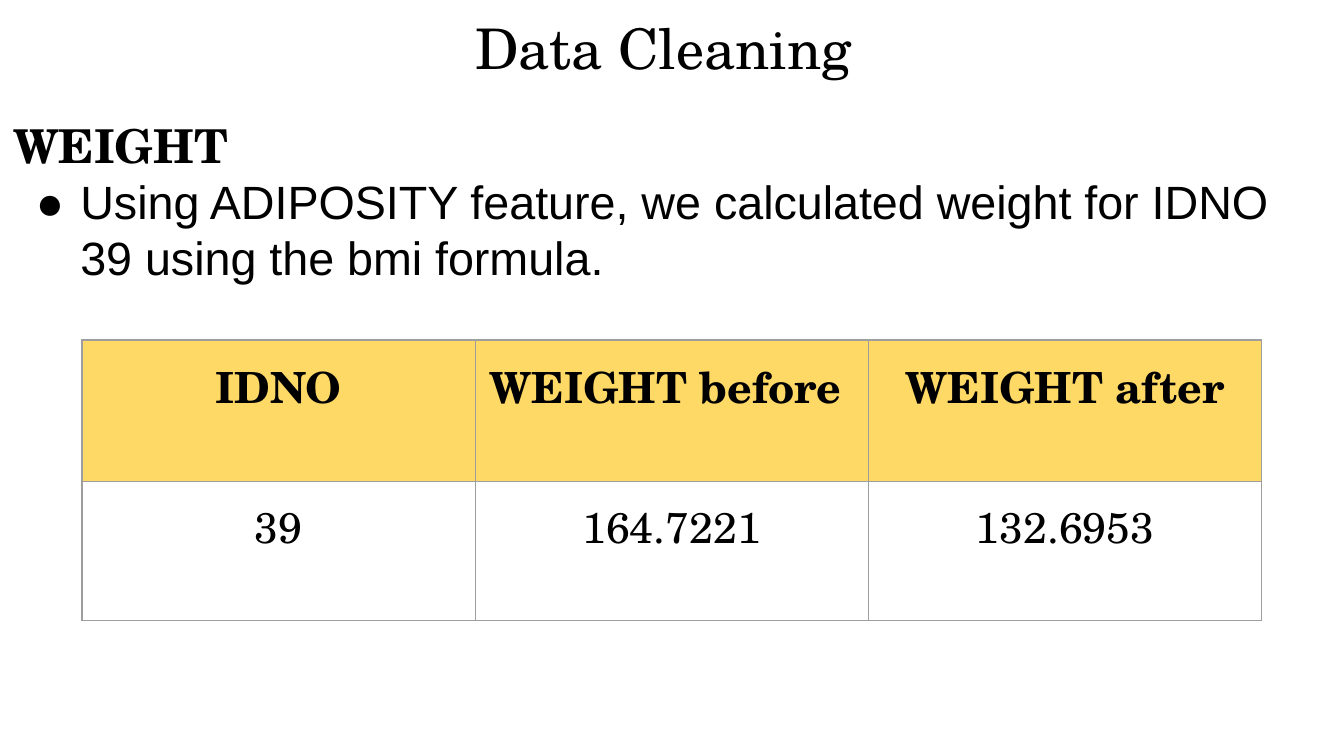
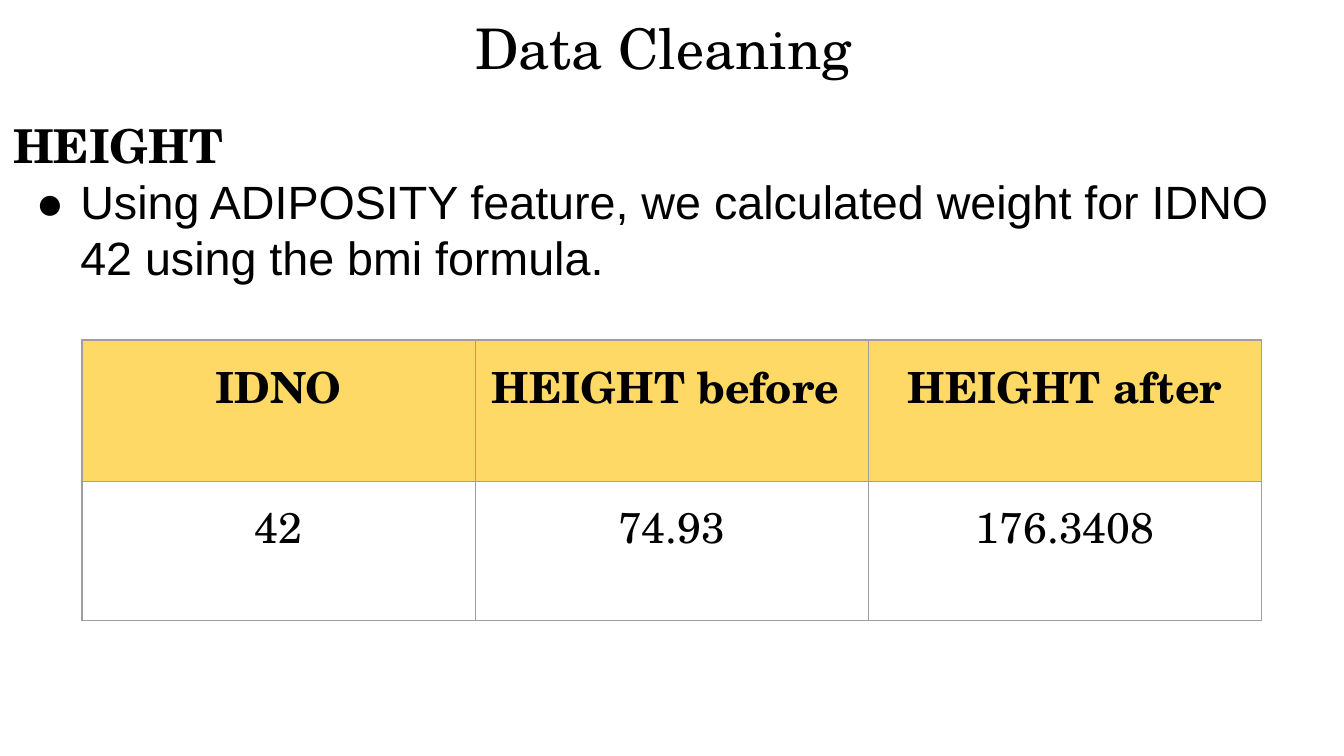
from dataclasses import dataclass

from lxml.etree import SubElement
from pptx import Presentation
from pptx.dml.color import RGBColor
from pptx.enum.text import MSO_ANCHOR, PP_ALIGN as Align
from pptx.oxml.ns import qn
from pptx.util import Inches, Pt

SERIF, SANS = "TeX Gyre Schola", "Arial"
BLACK, WHITE, GOLD, GREY = "000000", "FFFFFF", "FFD966", "9E9E9E"
INSET = Inches(0.1)


@dataclass
class Correction:
    feature: str
    idno: str
    before: str
    after: str


CORRECTIONS = [
    Correction("WEIGHT", "39", "164.7221", "132.6953"),
    Correction("HEIGHT", "42", "74.93", "176.3408"),
]


def color(value: str) -> RGBColor:
    return RGBColor.from_string(value)


def write(para, text: str, *, size: float, font: str = SERIF, bold: bool = False,
          align: Align = Align.LEFT, spacing=None) -> None:
    para.alignment = align
    if spacing is not None:
        para.line_spacing = spacing
    span = para.add_run()
    span.text = text
    span.font.name = font
    span.font.size = Pt(size)
    span.font.bold = bold
    span.font.color.rgb = color(BLACK)


def set_bullet(para) -> None:
    properties = para._p.get_or_add_pPr()
    properties.set("marL", str(Inches(0.5)))
    properties.set("indent", str(Inches(-0.35)))
    bullet_color = SubElement(properties, qn("a:buClr"))
    SubElement(bullet_color, qn("a:srgbClr"), val=BLACK)
    SubElement(properties, qn("a:buFont"), typeface=SERIF)
    SubElement(properties, qn("a:buChar"), char="●")


def set_borders(cell) -> None:
    """Outline a cell; call before filling it, as borders precede the fill."""
    properties = cell._tc.get_or_add_tcPr()
    for side in ("lnL", "lnR", "lnT", "lnB"):
        line = SubElement(properties, qn(f"a:{side}"), w=str(Pt(0.75)))
        fill = SubElement(line, qn("a:solidFill"))
        SubElement(fill, qn("a:srgbClr"), val=GREY)


def set_margins(holder) -> None:
    holder.margin_left = holder.margin_right = INSET
    holder.margin_top = holder.margin_bottom = INSET
    holder.vertical_anchor = MSO_ANCHOR.TOP


def add_text_frame(page, left: float, top: float, width: float, height: float):
    box = page.shapes.add_textbox(Inches(left), Inches(top), Inches(width), Inches(height))
    frame = box.text_frame
    frame.word_wrap = True
    set_margins(frame)
    return frame


def add_title(page) -> None:
    frame = add_text_frame(page, 2.22, 0, 5.55, 0.54)
    write(frame.paragraphs[0], "Data Cleaning ", size=30, align=Align.CENTER)


def add_explanation(page, correction: Correction) -> None:
    frame = add_text_frame(page, 0, 0.77, 10, 1.46)
    write(frame.paragraphs[0], correction.feature, size=25, bold=True)
    para = frame.add_paragraph()
    write(para, f"Using ADIPOSITY feature, we calculated weight for IDNO {correction.idno} "
          "using the bmi formula.", size=25, font=SANS, spacing=Pt(30))
    set_bullet(para)


def add_comparison(page, correction: Correction) -> None:
    rows = [
        ("IDNO", f"{correction.feature} before ", f"{correction.feature} after"),
        (correction.idno, correction.before, correction.after),
    ]
    table = page.shapes.add_table(len(rows), len(rows[0]), Inches(0.61), Inches(2.53),
                                  Inches(8.78), Inches(2.09)).table
    table.horz_banding = False
    for row, height in zip(table.rows, (1.05, 1.04)):
        row.height = Inches(height)
    for row_index, texts in enumerate(rows):
        is_header = row_index == 0
        for column_index, text in enumerate(texts):
            cell = table.cell(row_index, column_index)
            set_margins(cell)
            set_borders(cell)
            cell.fill.solid()
            cell.fill.fore_color.rgb = color(GOLD if is_header else WHITE)
            write(cell.text_frame.paragraphs[0], text, size=23, bold=is_header,
                  align=Align.CENTER)


def main() -> None:
    deck = Presentation()
    deck.slide_width = Inches(10)
    deck.slide_height = Inches(10) * 9 // 16
    for correction in CORRECTIONS:
        page = deck.slides.add_slide(deck.slide_layouts[6])
        add_title(page)
        add_explanation(page, correction)
        add_comparison(page, correction)
    deck.save("out.pptx")


if __name__ == "__main__":
    main()
